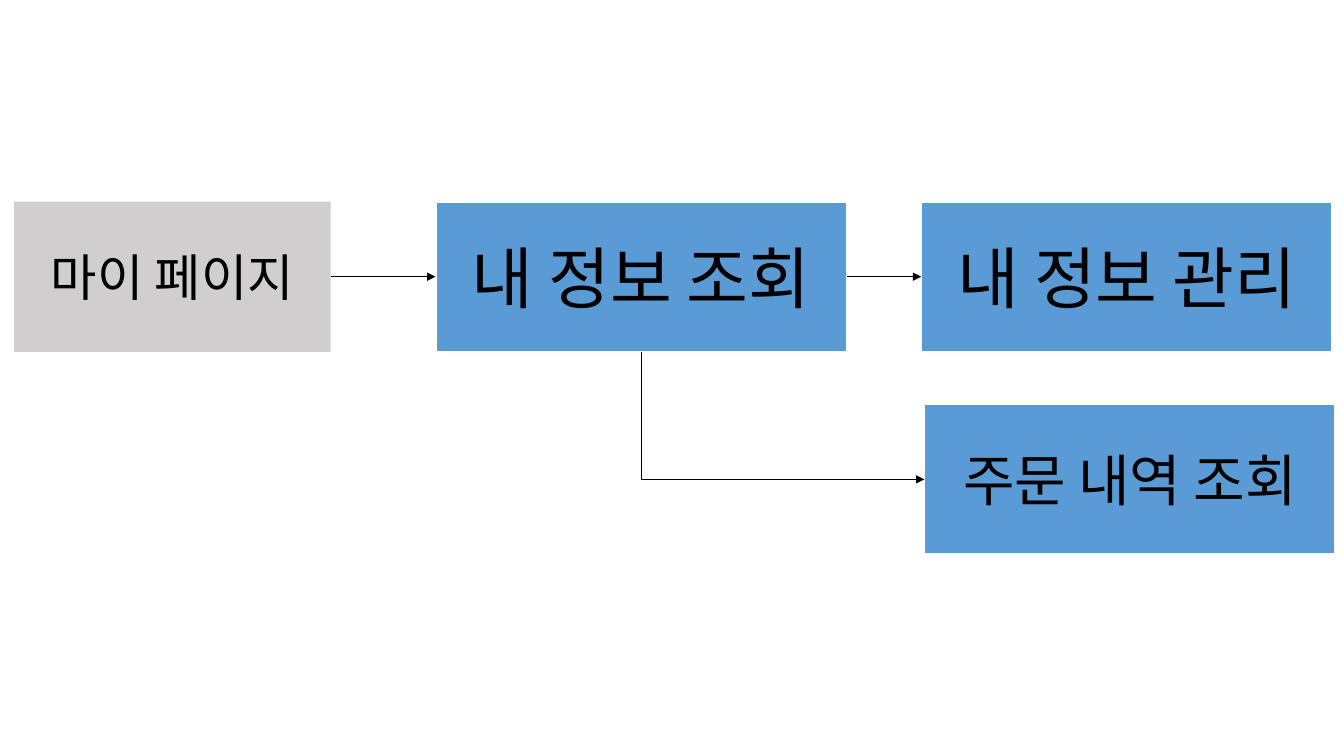
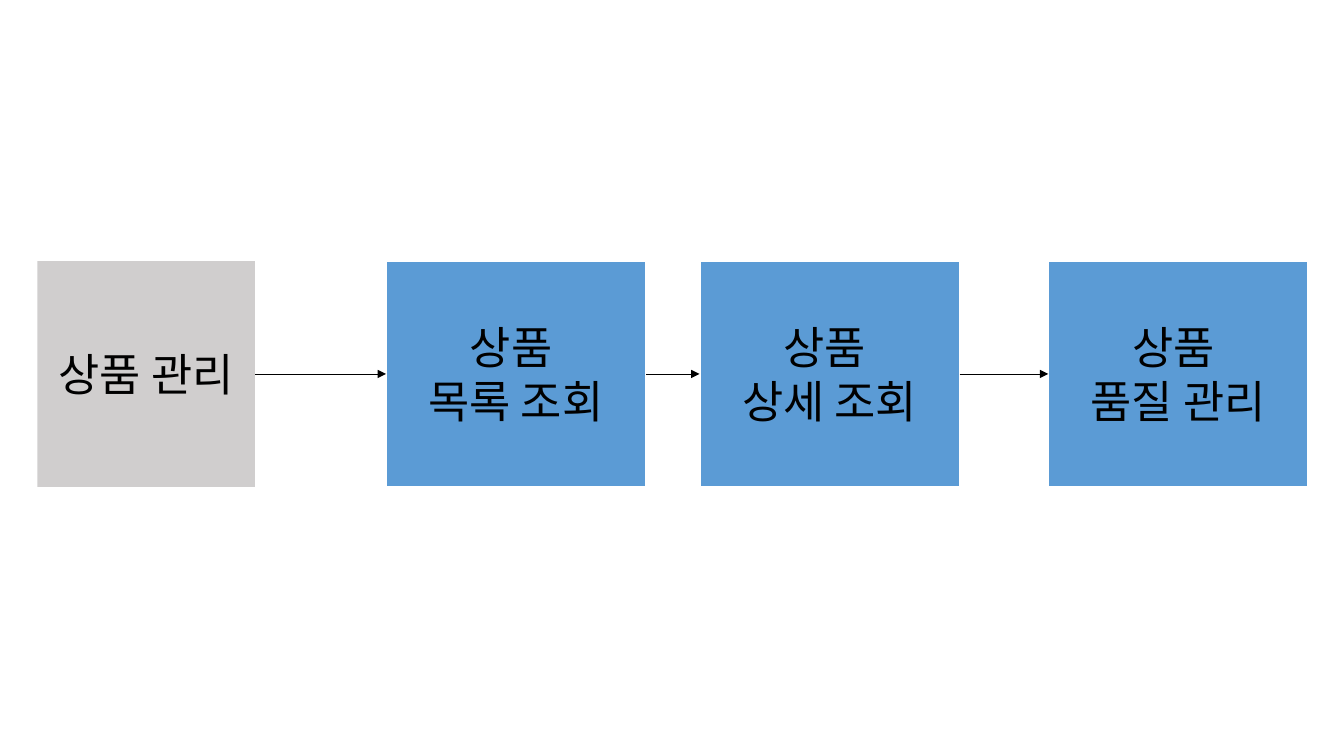
from dataclasses import dataclass

from lxml.etree import SubElement
from pptx import Presentation
from pptx.dml.color import RGBColor
from pptx.enum.shapes import MSO_CONNECTOR, MSO_SHAPE
from pptx.enum.text import MSO_ANCHOR, PP_ALIGN
from pptx.oxml.ns import qn
from pptx.util import Pt


@dataclass(frozen=True)
class Theme:
    font: str = "Noto Sans CJK KR"
    start: RGBColor = RGBColor(0xD0, 0xCE, 0xCE)
    step: RGBColor = RGBColor(0x5B, 0x9B, 0xD5)
    border: RGBColor = RGBColor(0xFF, 0xFF, 0xFF)
    ink: RGBColor = RGBColor(0, 0, 0)
    border_width: float = 1.5
    arrow_width: float = 0.5
    small: int = 32
    medium: int = 36
    large: int = 40
    huge: int = 48


theme = Theme()


def add_box(s, lines, left, top, width, height, size, is_start):
    sp = s.shapes.add_shape(MSO_SHAPE.RECTANGLE, Pt(left), Pt(top), Pt(width), Pt(height))
    sp.shadow.inherit = False
    sp.fill.solid()
    sp.fill.fore_color.rgb = theme.start if is_start else theme.step
    if is_start:
        sp.line.fill.background()
    else:
        sp.line.color.rgb = theme.border
        sp.line.width = Pt(theme.border_width)
    tf = sp.text_frame
    tf.word_wrap = True
    tf.vertical_anchor = MSO_ANCHOR.MIDDLE
    for i, text in enumerate(lines):
        p = tf.add_paragraph() if i else tf.paragraphs[0]
        p.alignment = PP_ALIGN.CENTER
        r = p.add_run()
        r.text = text
        r.font.size = Pt(size)
        r.font.name = theme.font
        r.font.color.rgb = theme.ink
        SubElement(r.font._element, qn("a:ea"), typeface=theme.font)
    return sp


def add_arrow(s, kind, source, source_side, target):
    cxn = s.shapes.add_connector(kind, 0, 0, 0, 0)
    cxn.begin_connect(source, source_side)
    cxn.end_connect(target, 1)
    cxn.line.color.rgb = theme.ink
    cxn.line.width = Pt(theme.arrow_width)
    SubElement(cxn.line._get_or_add_ln(), qn("a:tailEnd"), type="triangle")
    SubElement(cxn._element.spPr, qn("a:effectLst"))
    return cxn


flows = [
    (144, 107.28, [
        (["마이 페이지"], 10.08, 226.08, theme.medium),
        (["내 정보 조회"], 311.04, 293.76, theme.huge),
        (["내 정보 관리"], 658.08, 293.76, theme.huge),
    ]),
    (186.48, 161.28, [
        (["상품 관리"], 26.64, 155.52, theme.small),
        (["상품 ", "목록 조회"], 275.76, 185.76, theme.small),
        (["상품 ", "상세 조회"], 499.68, 185.76, theme.small),
        (["상품 ", "품질 관리"], 748.8, 185.76, theme.small),
    ]),
]

prs = Presentation()
prs.slide_width = Pt(960)
prs.slide_height = Pt(540)
rows = []

for top, height, steps in flows:
    s = prs.slides.add_slide(prs.slide_layouts[6])
    row = [
        add_box(s, lines, left, top, width, height, size, i == 0)
        for i, (lines, left, width, size) in enumerate(steps)
    ]
    for source, target in zip(row, row[1:]):
        add_arrow(s, MSO_CONNECTOR.STRAIGHT, source, 3, target)
    rows.append(row)

s = prs.slides[0]
info = rows[0][1]
orders = add_box(s, ["주문 내역 조회"], 660.24, 288.72, 293.76, 107.28, theme.large, False)
branch = add_arrow(s, MSO_CONNECTOR.ELBOW, info, 2, orders)

start_x, start_y = info.left + info.width // 2, info.top + info.height
across = orders.left - start_x
down = orders.top + orders.height // 2 - start_y
branch.left = start_x + (across - down) // 2
branch.top = start_y + (down - across) // 2
branch.width, branch.height = down, across
branch.rotation = 270
branch._element.spPr.find(qn("a:xfrm")).set("flipH", "1")
branch._element.spPr.find(qn("a:prstGeom")).set("prst", "bentConnector2")

prs.save("out.pptx")
